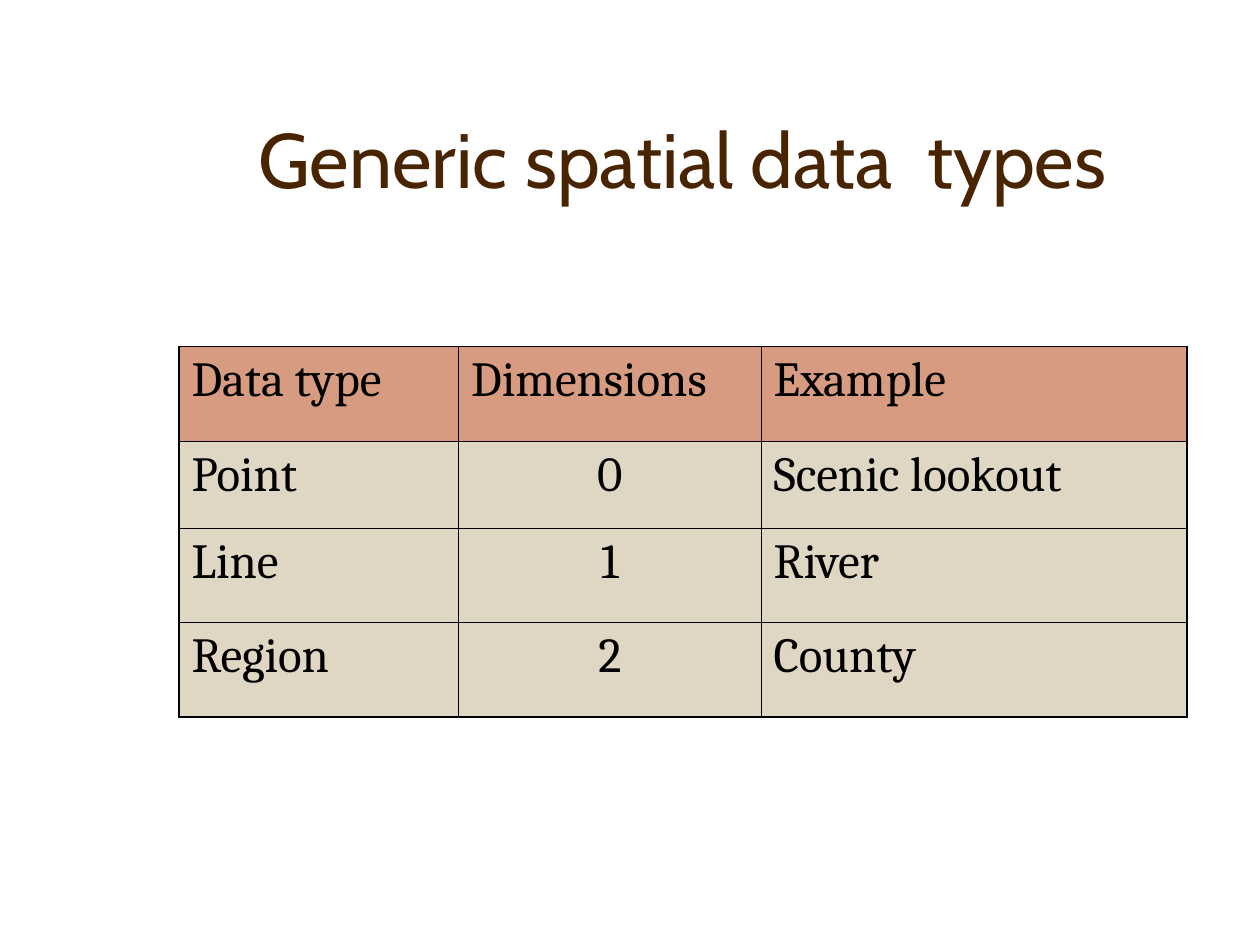
from dataclasses import dataclass

import lxml.etree
import pptx
import pptx.dml.color
import pptx.enum.text
import pptx.oxml.ns
import pptx.slide
import pptx.table
import pptx.text.text
import pptx.util

ALIGN = pptx.enum.text.PP_ALIGN
ANCHOR = pptx.enum.text.MSO_ANCHOR
SLIDE_WIDTH = pptx.util.Inches(10)
SLIDE_HEIGHT = pptx.util.Inches(7.5)


@dataclass(frozen=True)
class TextStyle:
    font: str
    size: float
    color: str
    space_before: float = 0


@dataclass(frozen=True)
class Theme:
    title: TextStyle = TextStyle("Cabin", 44, "482400")
    body: TextStyle = TextStyle("Cambria", 28, "000000", space_before=7)
    header_fill: str = "D69B80"
    body_fill: str = "DFD6C3"
    border: str = "000000"
    outer_border: float = 1.08
    inner_border: float = 0.45


@dataclass(frozen=True)
class Box:
    """A place on the slide, in percent of its width and height."""
    left: float
    top: float
    width: float
    height: float

    def lengths(self) -> tuple[int, int, int, int]:
        return (across(self.left), down(self.top),
                across(self.width), down(self.height))


@dataclass(frozen=True)
class Column:
    width: float
    body_alignment: ALIGN = ALIGN.LEFT


THEME = Theme()
TITLE_BOX = Box(11.7, 5.6, 85, 16.67)
TABLE_LEFT, TABLE_TOP = 14.2, 36.67
COLUMNS = [Column(22.2), Column(24, ALIGN.CENTER), Column(33.8)]
ROW_HEIGHTS = [10, 9.2, 10, 10]
ROWS = [
    ("Data type", "Dimensions", "Example"),
    ("Point", "0", "Scenic lookout"),
    ("Line", "1", "River"),
    ("Region", "2", "County"),
]


def across(percent: float) -> int:
    return round(SLIDE_WIDTH * percent / 100)


def down(percent: float) -> int:
    return round(SLIDE_HEIGHT * percent / 100)


def write(text_frame: pptx.text.text.TextFrame, text: str, style: TextStyle,
          alignment: ALIGN) -> None:
    paragraph = text_frame.paragraphs[0]
    paragraph.alignment = alignment
    paragraph.space_before = pptx.util.Pt(style.space_before)
    run = paragraph.add_run()
    run.text = text
    font_format = {"name": style.font, "size": pptx.util.Pt(style.size), "bold": False}
    for name, value in font_format.items():
        setattr(run.font, name, value)
    run.font.color.rgb = pptx.dml.color.RGBColor.from_string(style.color)


def set_borders(cell: pptx.table._Cell, outer_sides: dict[str, bool]) -> None:
    """Add cell borders ahead of the fill, heavier on the table's rim."""
    qn = pptx.oxml.ns.qn
    properties = cell._tc.get_or_add_tcPr()
    for position, (side, is_outer) in enumerate(outer_sides.items()):
        points = THEME.outer_border if is_outer else THEME.inner_border
        line = lxml.etree.Element(qn(f"a:ln{side}"), w=str(pptx.util.Pt(points)))
        fill = lxml.etree.SubElement(line, qn("a:solidFill"))
        lxml.etree.SubElement(fill, qn("a:srgbClr"), val=THEME.border)
        properties.insert(position, line)


def add_title(slide: pptx.slide.Slide, text: str) -> None:
    shape = slide.shapes.add_textbox(*TITLE_BOX.lengths())
    frame_format = {"word_wrap": True, "vertical_anchor": ANCHOR.BOTTOM}
    for name, value in frame_format.items():
        setattr(shape.text_frame, name, value)
    write(shape.text_frame, text, THEME.title, ALIGN.CENTER)


def add_data_table(slide: pptx.slide.Slide) -> None:
    box = Box(TABLE_LEFT, TABLE_TOP,
              sum(column.width for column in COLUMNS), sum(ROW_HEIGHTS))
    table = slide.shapes.add_table(len(ROWS), len(COLUMNS), *box.lengths()).table
    table.horz_banding = False
    for table_column, column in zip(table.columns, COLUMNS):
        table_column.width = across(column.width)
    for table_row, height in zip(table.rows, ROW_HEIGHTS):
        table_row.height = down(height)

    for row, texts in enumerate(ROWS):
        is_header = row == 0
        fill = THEME.header_fill if is_header else THEME.body_fill
        for index, (column, text) in enumerate(zip(COLUMNS, texts)):
            cell = table.cell(row, index)
            cell.fill.solid()
            cell.fill.fore_color.rgb = pptx.dml.color.RGBColor.from_string(fill)
            set_borders(cell, {
                "L": index == 0,
                "R": index == len(COLUMNS) - 1,
                "T": is_header,
                "B": row == len(ROWS) - 1,
            })
            alignment = ALIGN.LEFT if is_header else column.body_alignment
            write(cell.text_frame, text, THEME.body, alignment)


def main() -> None:
    presentation = pptx.Presentation()
    presentation.slide_width = SLIDE_WIDTH
    presentation.slide_height = SLIDE_HEIGHT
    slide = presentation.slides.add_slide(presentation.slide_layouts[6])
    add_title(slide, "Generic spatial data  types")
    add_data_table(slide)
    presentation.save("out.pptx")


if __name__ == "__main__":
    main()
